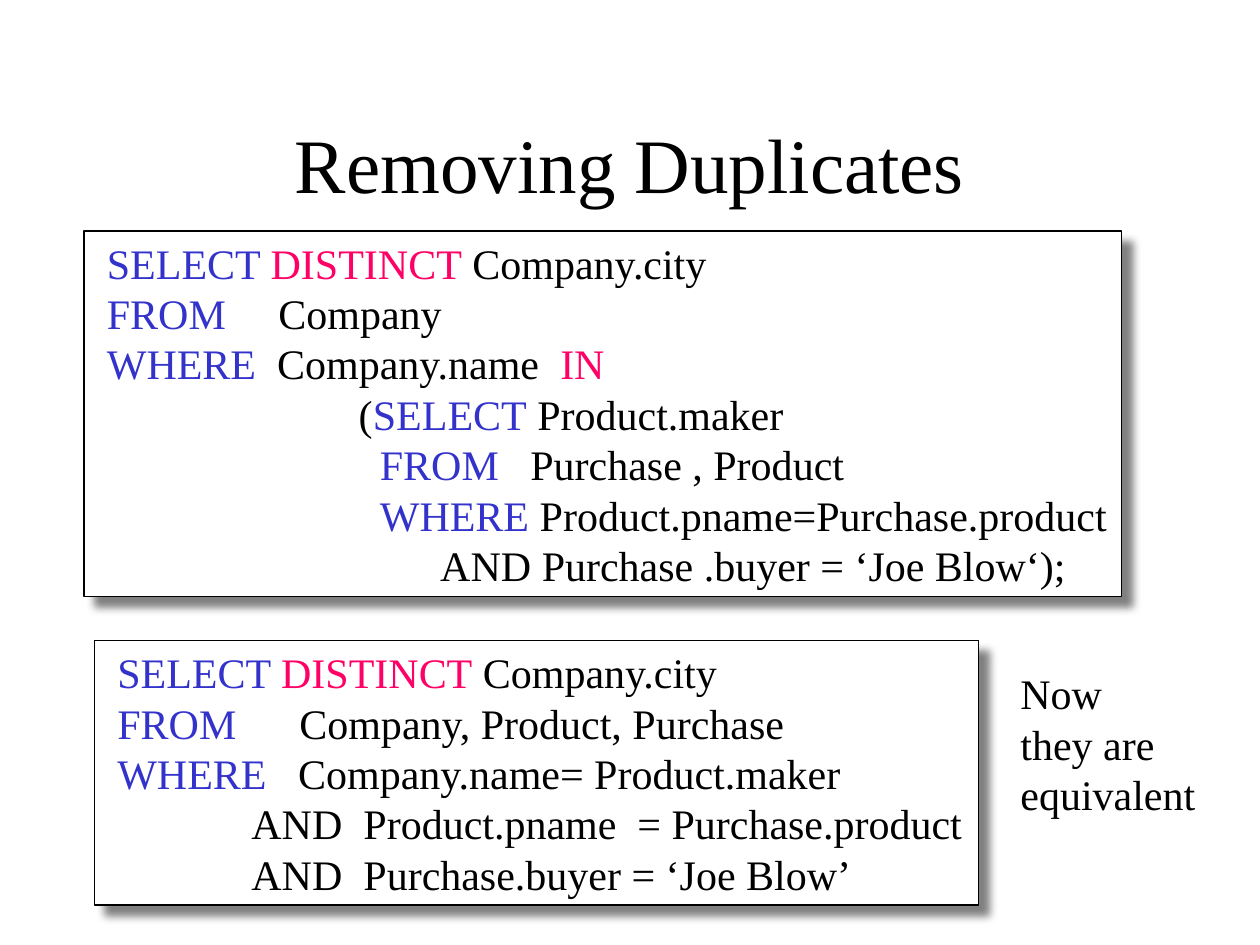
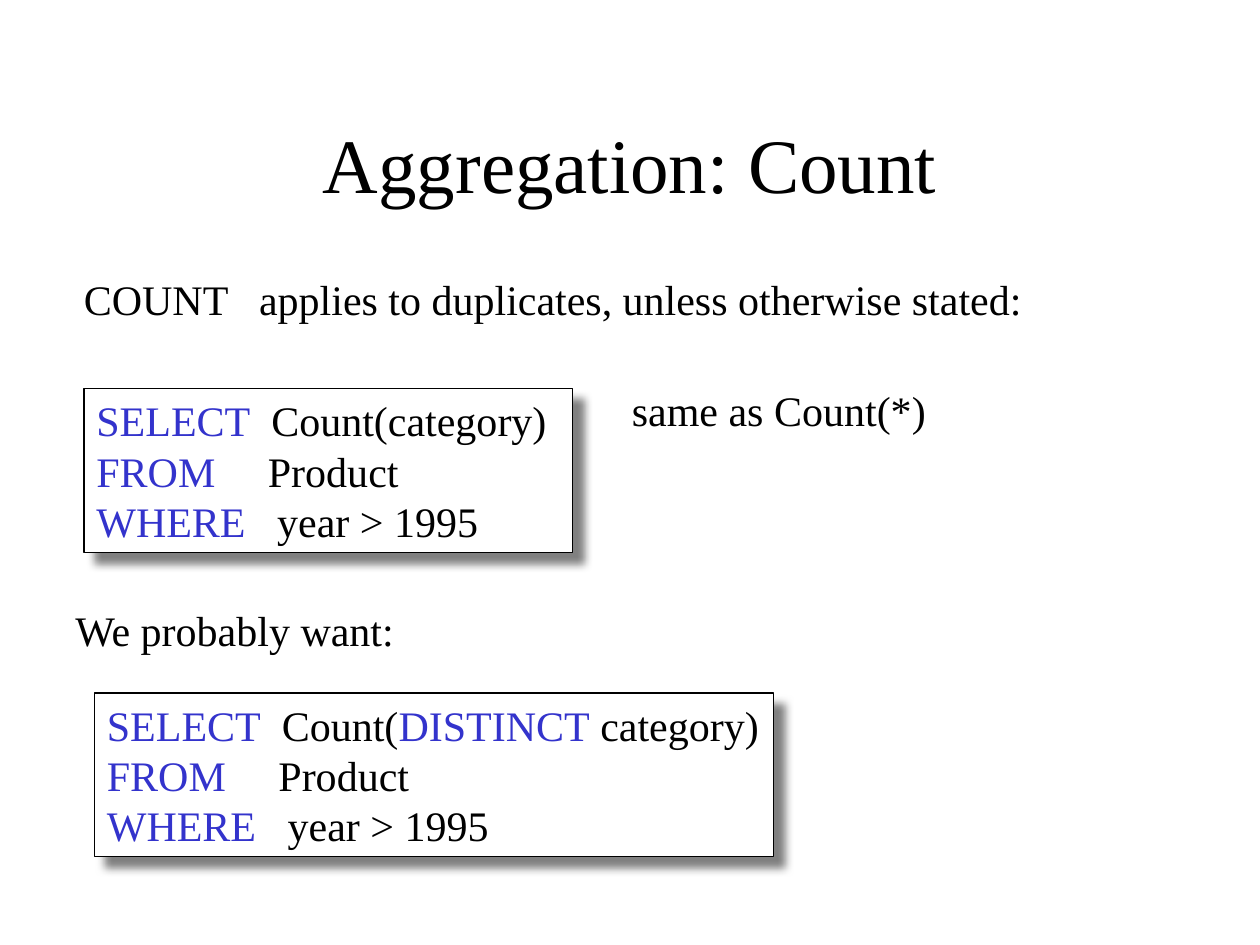
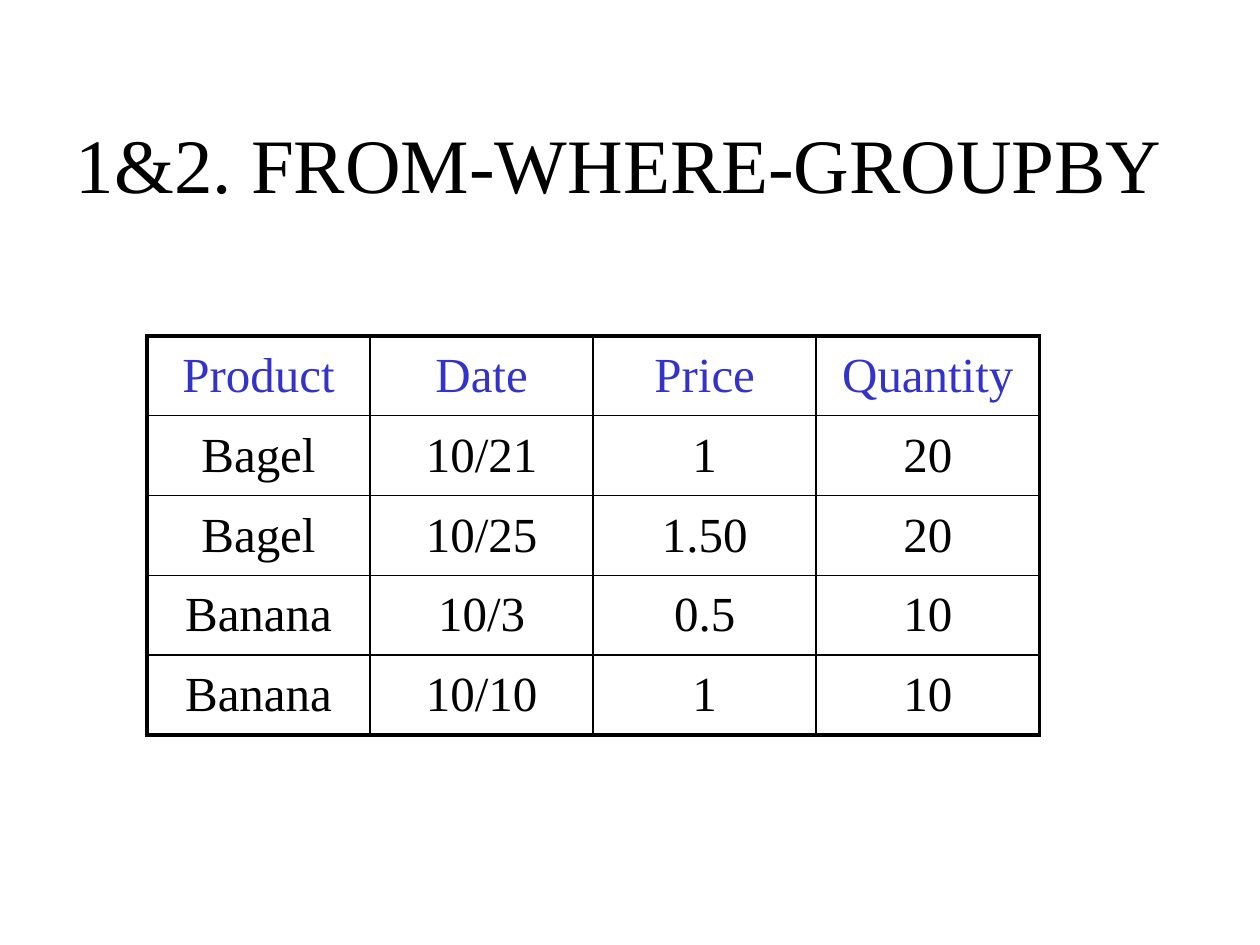
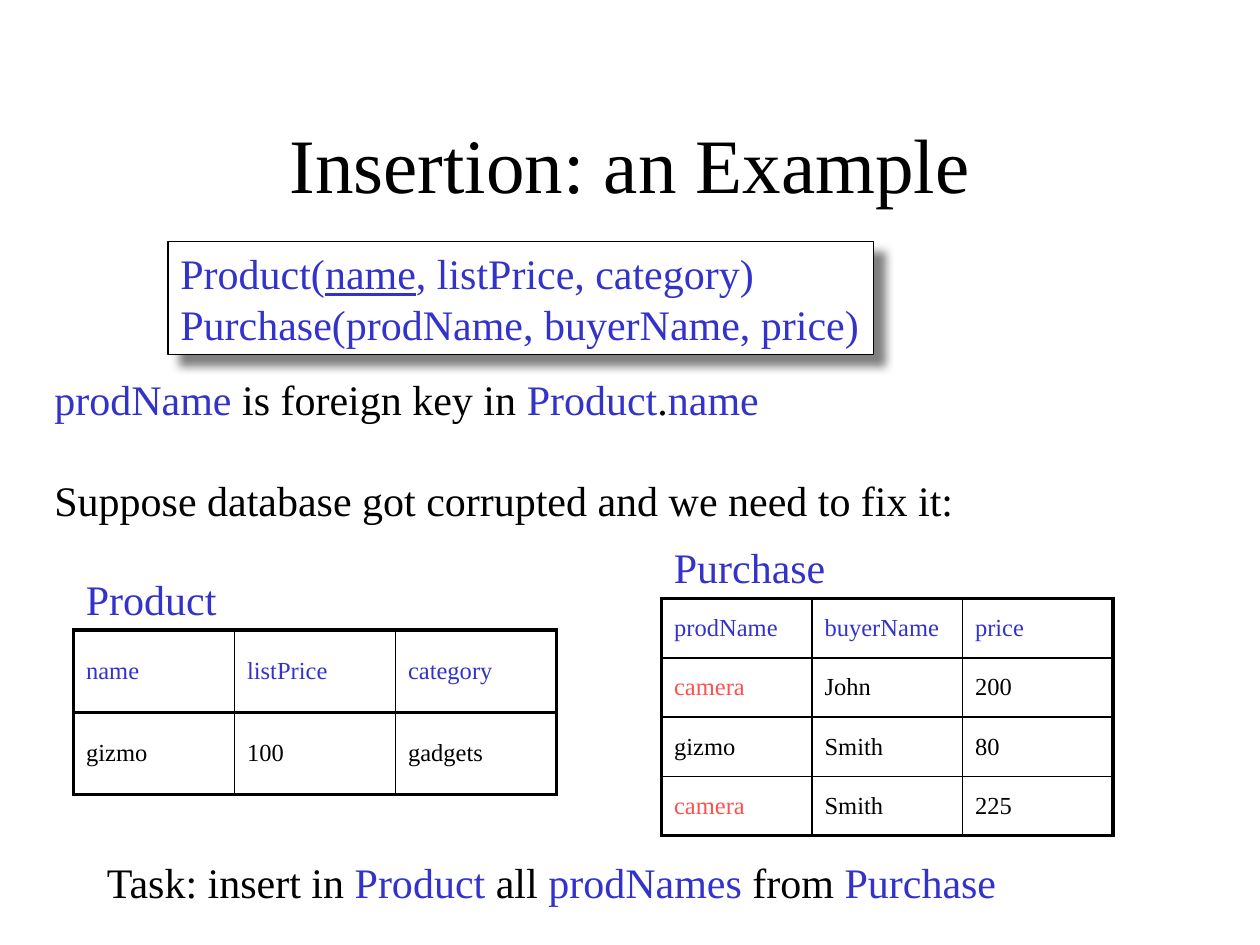
from lxml.etree import SubElement
from pptx import Presentation
from pptx.dml.color import RGBColor
from pptx.enum.shapes import MSO_SHAPE
from pptx.enum.text import MSO_ANCHOR, MSO_AUTO_SIZE, PP_ALIGN
from pptx.oxml.ns import qn
from pptx.util import Inches, Pt

FONT = "Times New Roman"
BLACK, WHITE, GREY = "000000", "FFFFFF", "808080"
BLUE, PINK, RED = "3333CC", "FF0066", "FF5050"
MARKS = {"^": BLUE, "~": PINK, "!": RED, "_": "underline"}
UNITS_PER_INCH = 12
COLUMNS, ROWS = 120, 90
BODY_SIZE, TITLE_SIZE = 24, 44
LINE_ROWS, PADDING_ROWS = 4.8, 1.2
LINE_POINTS = LINE_ROWS * 72 / UNITS_PER_INCH


def units(value):
    return Inches(value / UNITS_PER_INCH)


def rgb(code):
    return RGBColor.from_string(code)


def split_marks(line):
    pieces, text, active = [], "", None
    for character in line:
        if character in MARKS and active in (None, character):
            pieces.append((text, MARKS.get(active)))
            text, active = "", None if active else character
        else:
            text += character
    pieces.append((text, MARKS.get(active)))
    return [piece for piece in pieces if piece[0]]


def write(frame, lines, size=BODY_SIZE, color=BLACK, align=PP_ALIGN.LEFT, gap=0):
    for index, line in enumerate(lines):
        paragraph = frame.add_paragraph() if index else frame.paragraphs[0]
        paragraph.alignment = align
        if index and gap:
            paragraph.space_before = Pt(gap * LINE_POINTS)
        font = paragraph.font
        font.name, font.size, font.color.rgb = FONT, Pt(size), rgb(color)
        for text, style in split_marks(line):
            run = paragraph.add_run()
            run.text = text
            if style == "underline":
                run.font.underline = True
            elif style:
                run.font.color.rgb = rgb(style)


def text_box(slide, left, top, width, lines, color=BLACK, wrap=False, gap=0):
    count = len(lines) + gap * (len(lines) - 1)
    height = PADDING_ROWS + LINE_ROWS * count
    box = slide.shapes.add_textbox(*map(units, (left, top, width, height)))
    box.text_frame.word_wrap = wrap
    box.text_frame.auto_size = MSO_AUTO_SIZE.SHAPE_TO_FIT_TEXT
    write(box.text_frame, lines, color=color, gap=gap)


def add_shadow(shape):
    shape.shadow.inherit = False
    effects = shape._element.spPr.find(qn("a:effectLst"))
    shadow = SubElement(effects, qn("a:outerShdw"), blurRad=str(Pt(5)), dist=str(Pt(8.5)),
                        dir=str(45 * 60000), algn="ctr", rotWithShape="0")
    SubElement(shadow, qn("a:srgbClr"), val=GREY)


def code_panel(slide, left, top, width, lines, color=BLACK):
    height = PADDING_ROWS + LINE_ROWS * len(lines)
    panel = slide.shapes.add_shape(MSO_SHAPE.RECTANGLE, *map(units, (left, top, width, height)))
    panel.fill.solid()
    panel.fill.fore_color.rgb = rgb(WHITE)
    panel.line.color.rgb = rgb(BLACK)
    panel.line.width = Pt(0.75)
    add_shadow(panel)
    frame = panel.text_frame
    frame.word_wrap = False
    frame.auto_size = MSO_AUTO_SIZE.SHAPE_TO_FIT_TEXT
    frame.vertical_anchor = MSO_ANCHOR.TOP
    write(frame, lines, color=color)


def set_borders(cell, widths):
    properties = cell._tc.get_or_add_tcPr()
    for side, width in zip("LRTB", widths):
        line = SubElement(properties, qn(f"a:ln{side}"), w=str(Pt(width)))
        fill = SubElement(line, qn("a:solidFill"))
        SubElement(fill, qn("a:srgbClr"), val=BLACK)


def data_table(slide, left, top, width, height, rows, size, align=PP_ALIGN.LEFT, rule=1):
    row_count, column_count = len(rows), len(rows[0])
    table = slide.shapes.add_table(row_count, column_count,
                                   *map(units, (left, top, width, height))).table
    table.first_row = table.horz_banding = False
    across = [2.25] + [1] * (column_count - 1) + [2.25]
    down = [2.25, rule] + [1] * (row_count - 2) + [2.25]
    for row, values in enumerate(rows):
        for column, value in enumerate(values):
            cell = table.cell(row, column)
            cell.vertical_anchor = MSO_ANCHOR.MIDDLE
            set_borders(cell, across[column:column + 2] + down[row:row + 2])
            cell.fill.background()
            write(cell.text_frame, [value], size, BLACK if row else BLUE, align)


def titled_slide(presentation, title, left=9, width=102):
    slide = presentation.slides.add_slide(presentation.slide_layouts[6])
    box = slide.shapes.add_textbox(*map(units, (left, 8, width, 15)))
    box.text_frame.word_wrap = True
    box.text_frame.vertical_anchor = MSO_ANCHOR.MIDDLE
    write(box.text_frame, [title], TITLE_SIZE, align=PP_ALIGN.CENTER)
    return slide


def duplicates_slide(presentation):
    slide = titled_slide(presentation, "Removing Duplicates")
    text_box(slide, 96, 63, 19.1, ["Now", "they are", "equivalent"])
    code_panel(slide, 8, 22, 98.8, [
        " ^SELECT ^~DISTINCT~ Company.city",
        " ^FROM^     Company",
        " ^WHERE^  Company.name  ~IN~",
        "                         (^SELECT^ Product.maker",
        "                           ^FROM^   Purchase , Product",
        "                           ^WHERE^ Product.pname=Purchase.product",
        "                                 AND Purchase .buyer = ‘Joe Blow‘);",
    ])
    code_panel(slide, 9, 61, 84.2, [
        " ^SELECT ^~DISTINCT~ Company.city",
        " ^FROM^      Company, Product, Purchase",
        " ^WHERE^   Company.name= Product.maker",
        "              AND  Product.pname  = Purchase.product",
        "              AND  Purchase.buyer = ‘Joe Blow’",
    ])


def count_slide(presentation):
    slide = titled_slide(presentation, "Aggregation: Count")
    source = ["^FROM^     Product", "^WHERE^   year > 1995"]
    text_box(slide, 6.8, 25.5, 91.8, ["COUNT   applies to duplicates, unless otherwise stated:"])
    code_panel(slide, 8, 37, 46.5, ["^SELECT^  Count(category)"] + source)
    text_box(slide, 59, 36, 30.4, ["same as Count(*)"])
    text_box(slide, 6, 57, 33.1, ["We probably want:"])
    code_panel(slide, 9, 66, 64.7, ["^SELECT^  Count(^DISTINCT^ category)"] + source)


def grouping_slide(presentation):
    slide = titled_slide(presentation, "1&2. FROM-WHERE-GROUPBY", left=5, width=108)
    data_table(slide, 14, 32, 85, 38, [
        ["Product", "Date", "Price", "Quantity"],
        ["Bagel", "10/21", "1", "20"],
        ["Bagel", "10/25", "1.50", "20"],
        ["Banana", "10/3", "0.5", "10"],
        ["Banana", "10/10", "1", "10"],
    ], size=28, align=PP_ALIGN.CENTER)


def named_table(slide, name, left, top, name_width, width, height, rows):
    text_box(slide, left, top - PADDING_ROWS - LINE_ROWS, name_width, [name], BLUE)
    data_table(slide, left, top, width, height, rows, size=14, rule=1.5)


def insertion_slide(presentation):
    slide = titled_slide(presentation, "Insertion: an Example")
    text_box(slide, 4, 35, 102.2, [
        "^prodName^ is foreign key in ^Product^.^name^",
        "Suppose database got corrupted and we need to fix it:",
    ], wrap=True, gap=1)
    named_table(slide, "Product", 7, 60, 14.9, 46, 15.7, [
        ["name", "listPrice", "category"],
        ["gizmo", "100", "gadgets"],
    ])
    named_table(slide, "Purchase", 63, 57, 16.8, 43, 22.6, [
        ["prodName", "buyerName", "price"],
        ["!camera!", "John", "200"],
        ["gizmo", "Smith", "80"],
        ["!camera!", "Smith", "225"],
    ])
    text_box(slide, 9, 81, 87.4, ["Task: insert in ^Product^ all ^prodNames^ from ^Purchase^"])
    code_panel(slide, 16, 23, 67.2, [
        "Product(_name_, listPrice, category)",
        "Purchase(prodName, buyerName, price)",
    ], BLUE)


def main():
    presentation = Presentation()
    presentation.slide_width, presentation.slide_height = units(COLUMNS), units(ROWS)
    for build in (duplicates_slide, count_slide, grouping_slide, insertion_slide):
        build(presentation)
    presentation.save("out.pptx")


if __name__ == "__main__":
    main()
